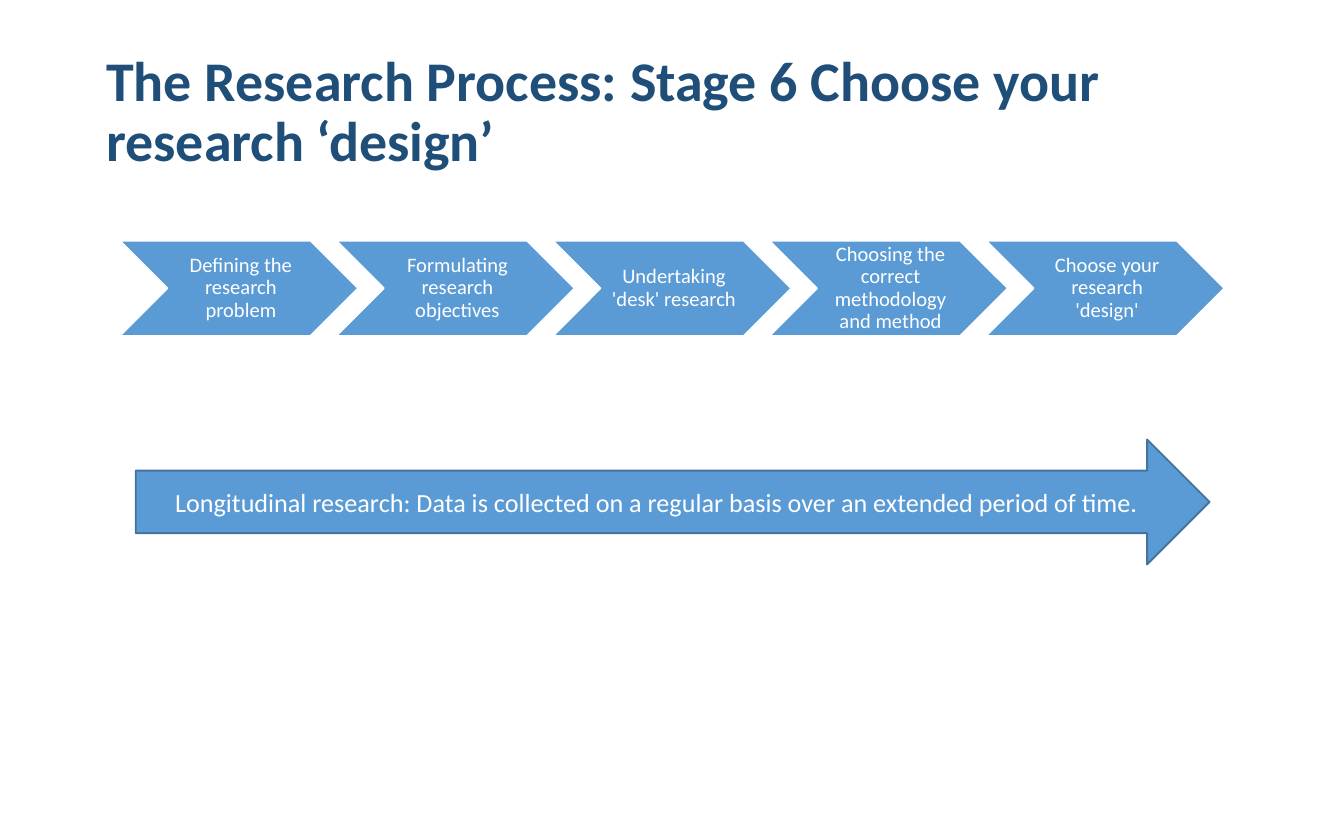
from pptx import Presentation
from pptx import util as u
from pptx.dml.color import RGBColor
from pptx.enum import shapes, text

BLUE = "5B9BD5"
WHITE = "FFFFFF"
STAGES = [
    "Defining the research problem",
    "Formulating research objectives",
    "Undertaking 'desk' research",
    "Choosing the correct methodology and method",
    "Choose your research 'design'",
]


def color(value):
    return RGBColor.from_string(value)


def inches(*lengths):
    return [u.Inches(length) for length in lengths]


def write(shape, words, size, align, ink=WHITE, bold=False, spacing=1.0):
    frame = shape.text_frame
    frame.word_wrap = True
    frame.auto_size = text.MSO_AUTO_SIZE.NONE
    frame.vertical_anchor = text.MSO_ANCHOR.MIDDLE
    para = frame.paragraphs[0]
    para.text = words
    para.alignment = align
    para.line_spacing = spacing
    para.font.name = "Calibri"
    para.font.size = u.Pt(size)
    para.font.bold = bold
    para.font.color.rgb = color(ink)


def add_block(page, kind, box, outline):
    shape = page.shapes.add_shape(kind, *inches(*box))
    shape.shadow.inherit = False
    shape.fill.solid()
    shape.fill.fore_color.rgb = color(BLUE)
    shape.line.color.rgb = color(outline)
    shape.line.width = u.Pt(1)
    return shape


def place_title(page, box, words):
    title = page.shapes.title
    title.left, title.top, title.width, title.height = inches(*box)
    write(title, words, 30, text.PP_ALIGN.LEFT, "1F4E79", True, 0.9)


def place_stages(page, box, stages):
    left, top, width, height = box
    chevron_width = 2.5 * height
    step = (width - chevron_width) / (len(stages) - 1)
    for index, stage in enumerate(stages):
        x = left + index * step
        add_block(page, shapes.MSO_SHAPE.CHEVRON,
                  (x, top, chevron_width, height), WHITE)
        label = page.shapes.add_textbox(
            *inches(x + height / 2, top, chevron_width - height, height))
        frame = label.text_frame
        frame.margin_left = u.Inches(0.05)
        frame.margin_right = frame.margin_top = frame.margin_bottom = u.Inches(0.02)
        write(label, stage, 11, text.PP_ALIGN.CENTER, spacing=0.9)


def place_timeline(page, box, words):
    arrow = add_block(page, shapes.MSO_SHAPE.RIGHT_ARROW, box, "43739E")
    write(arrow, words, 14, text.PP_ALIGN.CENTER)


def main():
    deck = Presentation()
    deck.slide_width, deck.slide_height = inches(10, 6.25)
    page = deck.slides.add_slide(deck.slide_layouts[5])
    place_title(page, (0.69, 0.24, 8.62, 1.21),
                "The Research Process: Stage 6 Choose your research ‘design’")
    place_stages(page, (0.89, 1.79, 8.22, 0.71), STAGES)
    place_timeline(page, (1.01, 3.27, 7.99, 0.93),
                   "Longitudinal research: Data is collected on a regular basis "
                   "over an extended period of time.")
    deck.save("out.pptx")


if __name__ == "__main__":
    main()
